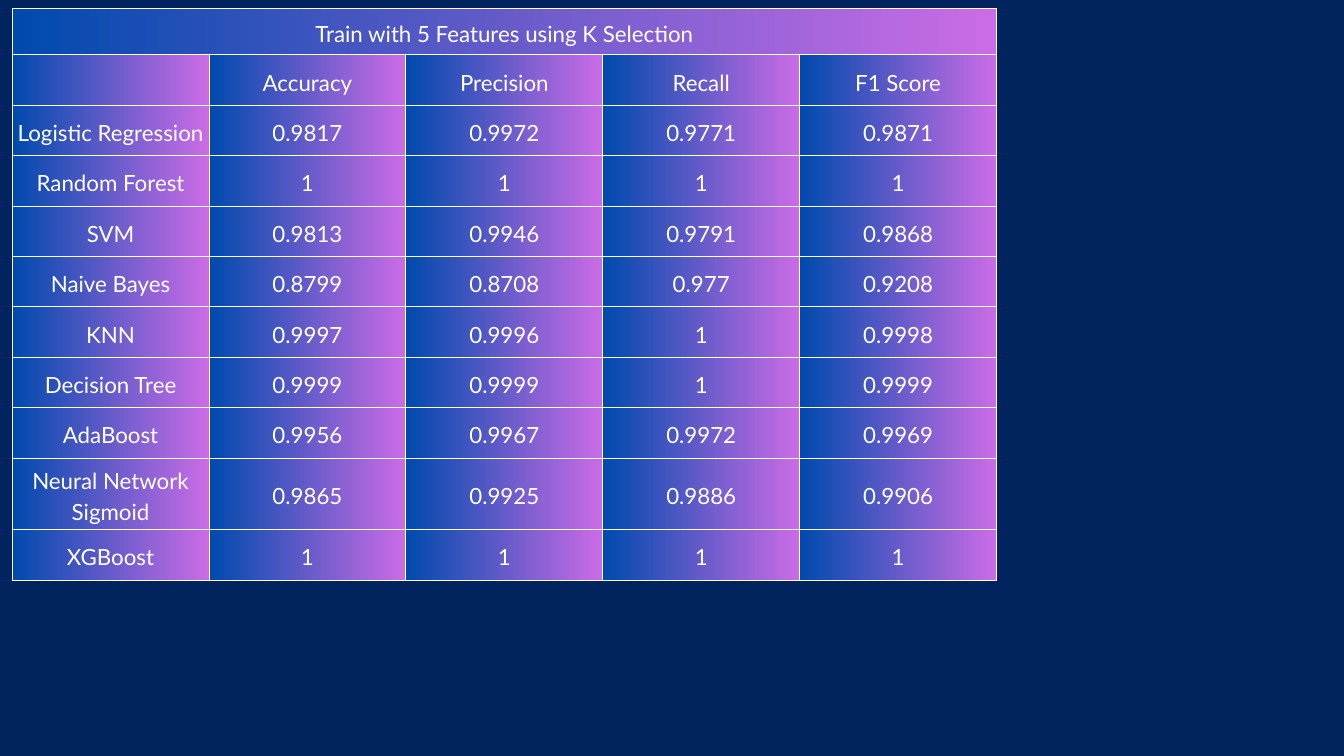
from dataclasses import dataclass

from pptx import Presentation
from pptx.dml.color import RGBColor as Rgb
from pptx.enum.text import MSO_ANCHOR as Anchor, PP_ALIGN as Align
from pptx.oxml import parse_xml
from pptx.oxml.ns import nsdecls
from pptx.util import Inches, Pt


@dataclass(frozen=True)
class Theme:
    background: str = "01245E"
    gradient: tuple = ("004AAD", "CB6CE6")
    ink: str = "FFFFFF"
    border: str = "FFFFFF"
    border_width: float = 1.12
    font: str = "Lato"
    size: float = 23.9
    leading: float = 33.4
    margin: float = 0.07


TITLE = "Train with 5 Features using K Selection"
METRICS = ("", "Accuracy", "Precision", "Recall", "F1 Score")
SCORES = (
    ("Logistic Regression", "0.9817", "0.9972", "0.9771", "0.9871"),
    ("Random Forest", "1", "1", "1", "1"),
    ("SVM", "0.9813", "0.9946", "0.9791", "0.9868"),
    ("Naive Bayes", "0.8799", "0.8708", "0.977", "0.9208"),
    ("KNN", "0.9997", "0.9996", "1", "0.9998"),
    ("Decision Tree", "0.9999", "0.9999", "1", "0.9999"),
    ("AdaBoost", "0.9956", "0.9967", "0.9972", "0.9969"),
    ("Neural Network Sigmoid", "0.9865", "0.9925", "0.9886", "0.9906"),
    ("XGBoost", "1", "1", "1", "1"),
)
TITLE_ROWS = 0.92
TWO_LINE_ROWS = 1.15


class Page:
    """A slide on a grid of 100 columns by 15 rows."""

    def __init__(self, deck, theme):
        self.theme = theme
        self.column = deck.slide_width / 100
        self.row = deck.slide_height / 15
        self.slide = deck.slides.add_slide(deck.slide_layouts[6])
        backdrop = self.slide.background.fill
        backdrop.solid()
        backdrop.fore_color.rgb = Rgb.from_string(theme.background)

    def table(self, left, top, column_width, row_heights, records):
        columns = len(records[0])
        frame = self.slide.shapes.add_table(
            len(records), columns,
            round(left * self.column), round(top * self.row),
            round(columns * column_width * self.column),
            round(sum(row_heights) * self.row))
        table = frame.table
        table.first_row = table.horz_banding = False
        for column in table.columns:
            column.width = round(column_width * self.column)
        for row, height, record in zip(table.rows, row_heights, records):
            row.height = round(height * self.row)
            for cell, words in zip(row.cells, record):
                self.cell(cell, words)
        return table

    def cell(self, cell, words):
        margin = Inches(self.theme.margin)
        box_format = {"vertical_anchor": Anchor.MIDDLE,
                      "margin_left": margin, "margin_right": margin,
                      "margin_top": margin, "margin_bottom": margin}
        for name, value in box_format.items():
            setattr(cell, name, value)
        self.borders(cell)
        self.gradient(cell.fill)
        if words:
            self.text(cell.text_frame.paragraphs[0], words)

    def borders(self, cell):
        properties = cell._tc.get_or_add_tcPr()
        for side in "LRTB":
            properties.append(parse_xml(
                f'<a:ln{side} {nsdecls("a")} w="{Pt(self.theme.border_width)}">'
                f'<a:solidFill><a:srgbClr val="{self.theme.border}"/></a:solidFill>'
                f'</a:ln{side}>'))

    def gradient(self, fill):
        fill.gradient()
        fill.gradient_angle = 0
        for stop, colour in zip(fill.gradient_stops, self.theme.gradient):
            stop.color.rgb = Rgb.from_string(colour)

    def text(self, para, words):
        para.alignment = Align.CENTER
        para.line_spacing = Pt(self.theme.leading)
        span = para.add_run()
        span.text = words
        span_format = {"name": self.theme.font, "size": Pt(self.theme.size)}
        for name, value in span_format.items():
            setattr(span.font, name, value)
        span.font.color.rgb = Rgb.from_string(self.theme.ink)


def main():
    deck = Presentation()
    deck.slide_width, deck.slide_height = Inches(20), Inches(11.25)
    page = Page(deck, Theme())
    title_record = (TITLE,) + ("",) * (len(METRICS) - 1)
    records = (title_record, METRICS) + SCORES
    heights = [TITLE_ROWS] + [1] * (len(records) - 1)
    heights[-2] = TWO_LINE_ROWS
    table = page.table(left=0.9, top=0.17, column_width=14.65,
                       row_heights=heights, records=records)
    table.cell(0, 0).merge(table.cell(0, len(METRICS) - 1))
    deck.save("out.pptx")


if __name__ == "__main__":
    main()
